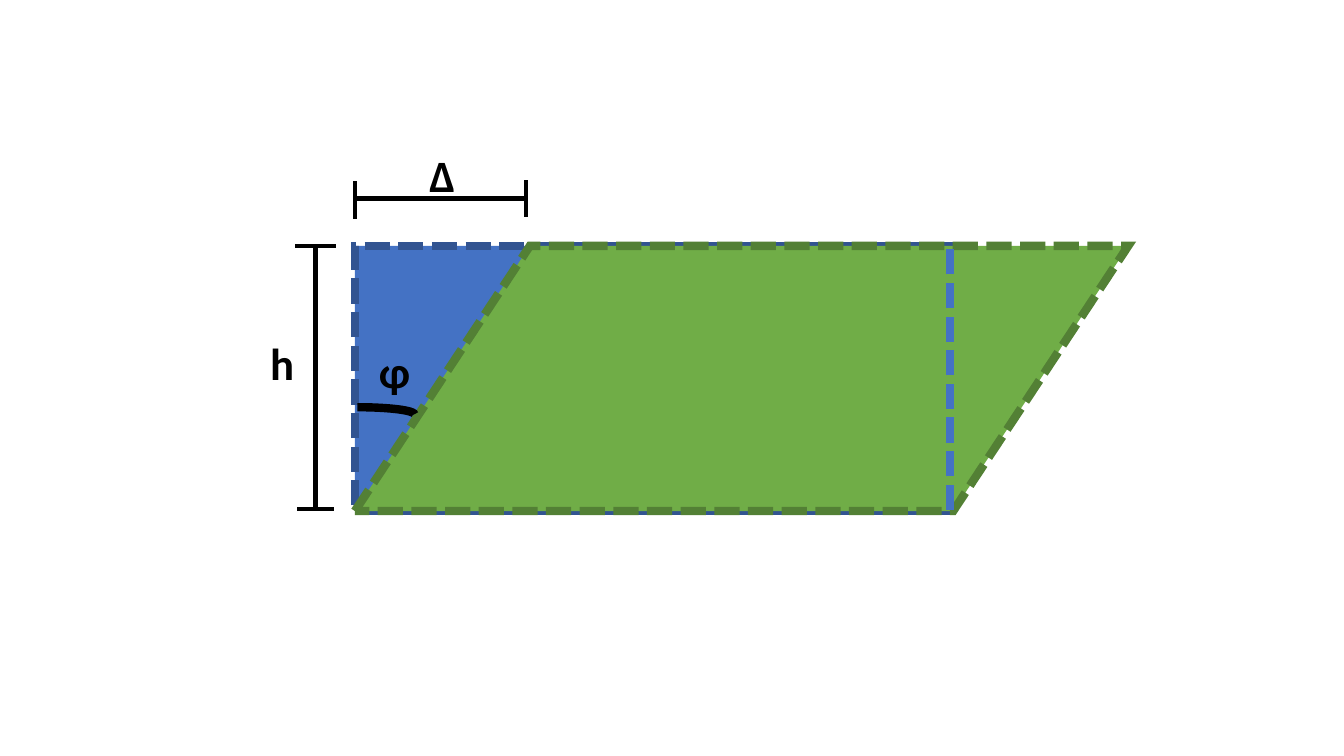
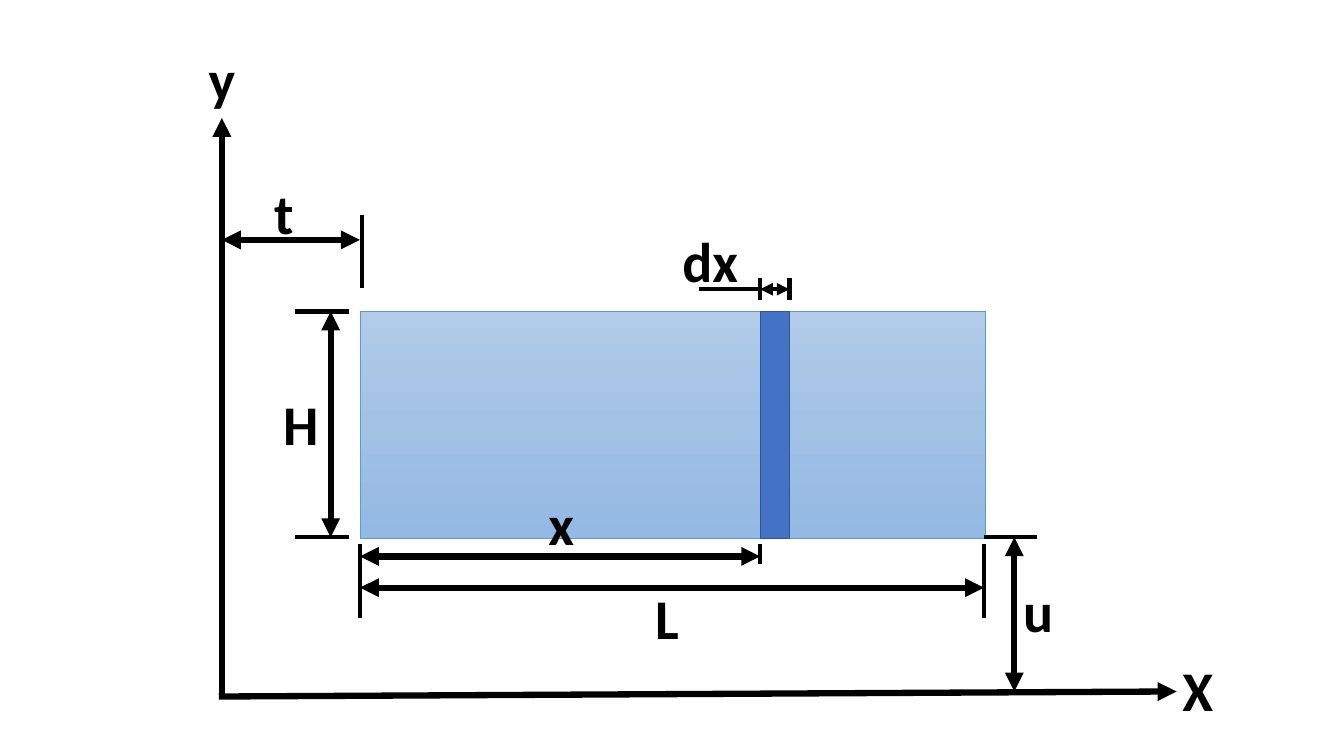
from copy import deepcopy
from lxml import etree
from pptx import Presentation
from pptx.dml.color import RGBColor
from pptx.enum import dml, shapes, text
from pptx.oxml.ns import qn
from pptx.util import Inches, Pt

HUE = {"ink": "000000", "blue": "4472C4", "navy": "325491", "green": "70AD47",
       "moss": "538035", "sky": "5B9BD5"}
FADE = ["B1CBE9", "A3C1E5", "93B9E4"]
FONT = "Calibri"
KIND = shapes.MSO_SHAPE

LEFT, TOP, WIDE, TALL, LEAN = 3.52, 2.44, 5.9, 2.63, 1.7
BASE = 5.06
SHEAR = {
    "size": 32,
    "shapes": [
        (KIND.RECTANGLE, (LEFT, TOP, WIDE, TALL), "blue", "navy", 6, True),
        (KIND.PARALLELOGRAM, (LEFT, TOP, 7.67, TALL), "green", "moss", 6, True),
        (KIND.ARC, (2.98, 4.04, 1.13, 0.14), None, "ink", 6, False),
    ],
    "lines": [
        ((LEFT, 1.97), (LEFT + LEAN, 1.97), 3, ""),
        ((LEFT, 1.8), (LEFT, 2.17), 3, ""),
        ((LEFT + LEAN, 1.79), (LEFT + LEAN, 2.15), 3, ""),
        ((3.13, TOP), (3.13, BASE), 3, ""),
        ((2.93, TOP), (3.33, TOP), 3, ""),
        ((2.95, 5.05), (3.31, 5.05), 3, ""),
        ((LEFT + WIDE, BASE), (LEFT + WIDE, TOP), 6, "dash"),
    ],
    "labels": [
        ("φ", 3.66, 3.36, 0.58), ("Δ", 4.16, 1.42, 0.58), ("h", 2.58, 3.28, 0.58),
    ],
}

NEAR, FAR, ROOF, FLOOR = 3.57, 9.76, 3.09, 5.33
CUT, END = 7.54, 7.83
AXIS, ZERO = 2.2, 6.91
BAR = {
    "size": 40,
    "shapes": [
        (KIND.RECTANGLE, (NEAR, ROOF, 6.2, 2.25), FADE, "sky", 0.5, False),
        (KIND.RECTANGLE, (CUT, ROOF, END - CUT, 2.25), "blue", "navy", 1, False),
    ],
    "lines": [
        ((NEAR, 5.83), (FAR, 5.83), 4.5, "both"),
        *[((x, 5.4), (x, 6.13), 3, "") for x in (NEAR, FAR)],
        *[((x, 2.98), (x, 2.76), 3, "") for x in (CUT, END)],
        ((CUT, 2.87), (END, 2.87), 3, "both"),
        ((CUT, 2.87), (6.93, 2.87), 3, ""),
        ((3.28, FLOOR), (3.28, ROOF), 4.5, "both"),
        *[((2.93, y), (3.46, y), 3, "") for y in (FLOOR, ROOF)],
        ((NEAR, 5.52), (CUT, 5.52), 4.5, "both"),
        ((CUT, 5.4), (CUT, 5.6), 3, ""),
        ((AXIS, ZERO), (AXIS, 1.17), 4.5, "end"),
        ((2.17, ZERO), (11.67, 6.86), 4.5, "end"),
        ((AXIS, 2.38), (NEAR, 2.38), 4.5, "both"),
        ((3.59, 2.13), (3.59, 2.86), 3, ""),
        ((10.06, 6.86), (10.06, FLOOR), 4.5, "both"),
        ((FAR, FLOOR), (10.29, FLOOR), 3, ""),
    ],
    "labels": [
        ("L", 6.4, 5.74, 0.53), ("dx", 6.67, 2.2, 0.77), ("H", 2.71, 3.82, 0.53),
        ("x", 5.34, 4.81, 0.53), ("y", 1.97, 0.39, 0.53), ("X", 11.63, 6.45, 0.53),
        ("u", 10.05, 5.67, 0.53), ("t", 2.62, 1.72, 0.53),
    ],
}


def tint(code):
    return RGBColor.from_string(code)


def stroke(line, hue, width, dash):
    line.color.rgb = tint(HUE[hue])
    line.width = Pt(width)
    if dash:
        line.dash_style = dml.MSO_LINE.SQUARE_DOT
    ln = line._get_or_add_ln()
    etree.SubElement(ln, qn("a:miter"), lim="800000")
    return ln


def blend(fill, codes):
    fill.gradient()
    fill.gradient_angle = 270
    first = fill.gradient_stops[0]._gs
    first.addnext(deepcopy(first))
    for i, (stop, code) in enumerate(zip(fill.gradient_stops, codes)):
        stop.color.rgb = tint(code)
        stop.position = i / (len(codes) - 1)


def add_form(slide, kind, box, fill, edge, width, dash):
    form = slide.shapes.add_shape(kind, *map(Inches, box))
    form.shadow.inherit = False
    if kind == KIND.PARALLELOGRAM:
        form.adjustments[0] = 0.66
    if fill is None:
        form.fill.background()
    elif isinstance(fill, list):
        blend(form.fill, fill)
    else:
        form.fill.solid()
        form.fill.fore_color.rgb = tint(HUE[fill])
    stroke(form.line, edge, width, dash)


def add_line(slide, start, stop, width, mode):
    line = slide.shapes.add_connector(
        shapes.MSO_CONNECTOR.STRAIGHT, *map(Inches, start + stop))
    dash = mode == "dash"
    ln = stroke(line.line, "blue" if dash else "ink", width, dash)
    if mode == "both":
        etree.SubElement(ln, qn("a:headEnd"), type="triangle")
    if mode in ("both", "end"):
        etree.SubElement(ln, qn("a:tailEnd"), type="triangle")
    etree.SubElement(line._element.spPr, qn("a:effectLst"))


def add_label(slide, word, x, y, width, size):
    tall = 0.64 if size == 32 else 0.77
    frame = slide.shapes.add_textbox(*map(Inches, (x, y, width, tall))).text_frame
    frame.word_wrap = True
    frame.auto_size = text.MSO_AUTO_SIZE.SHAPE_TO_FIT_TEXT
    run = frame.paragraphs[0].add_run()
    run.text = word
    font = run.font
    font.name, font.size, font.bold = FONT, Pt(size), True
    font.color.rgb = tint(HUE["ink"])


deck = Presentation()
deck.slide_width, deck.slide_height = Inches(13.33), Inches(7.5)
for page in (SHEAR, BAR):
    slide = deck.slides.add_slide(deck.slide_layouts[6])
    for form in page["shapes"]:
        add_form(slide, *form)
    for line in page["lines"]:
        add_line(slide, *line)
    for label in page["labels"]:
        add_label(slide, *label, page["size"])
deck.save("out.pptx")
